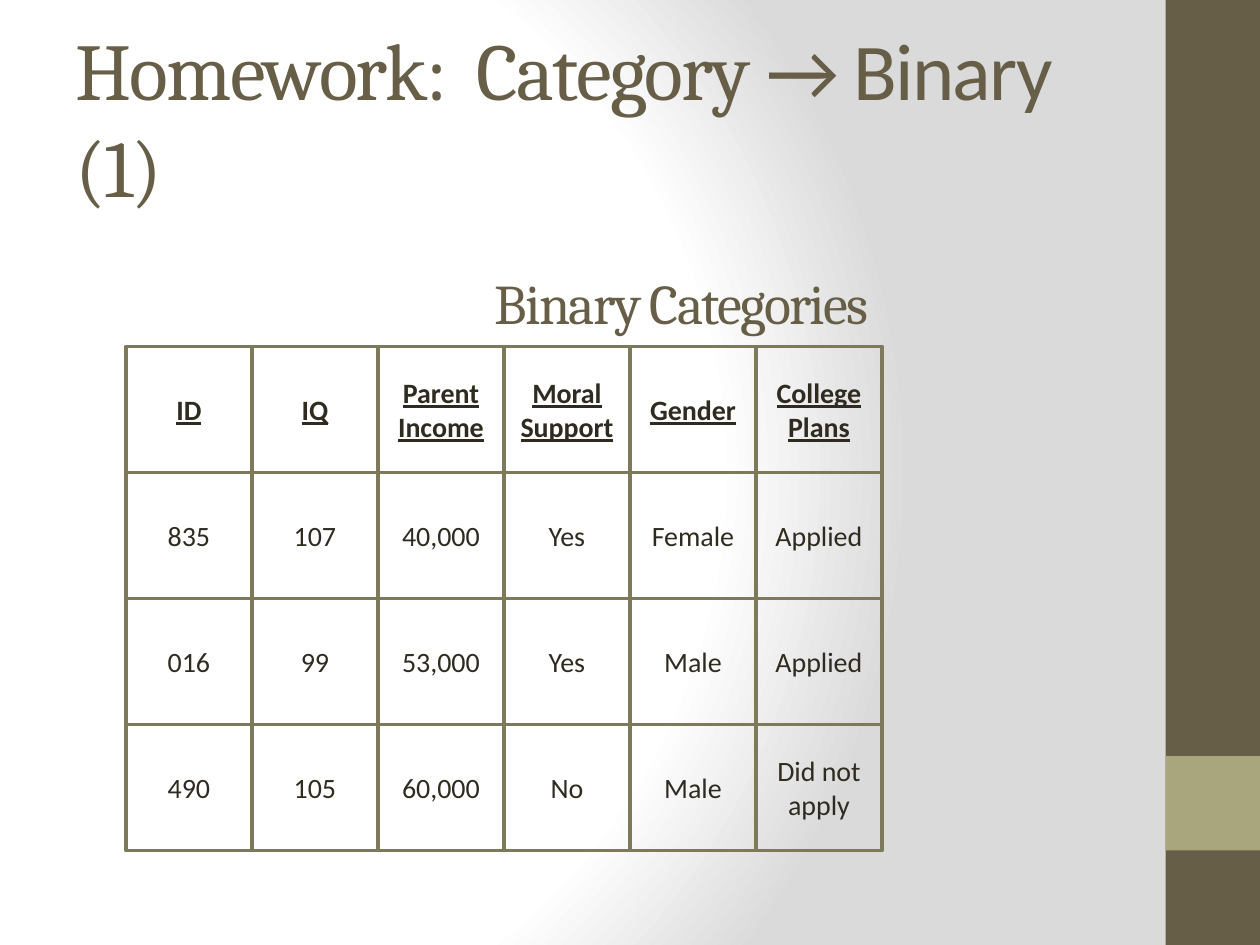
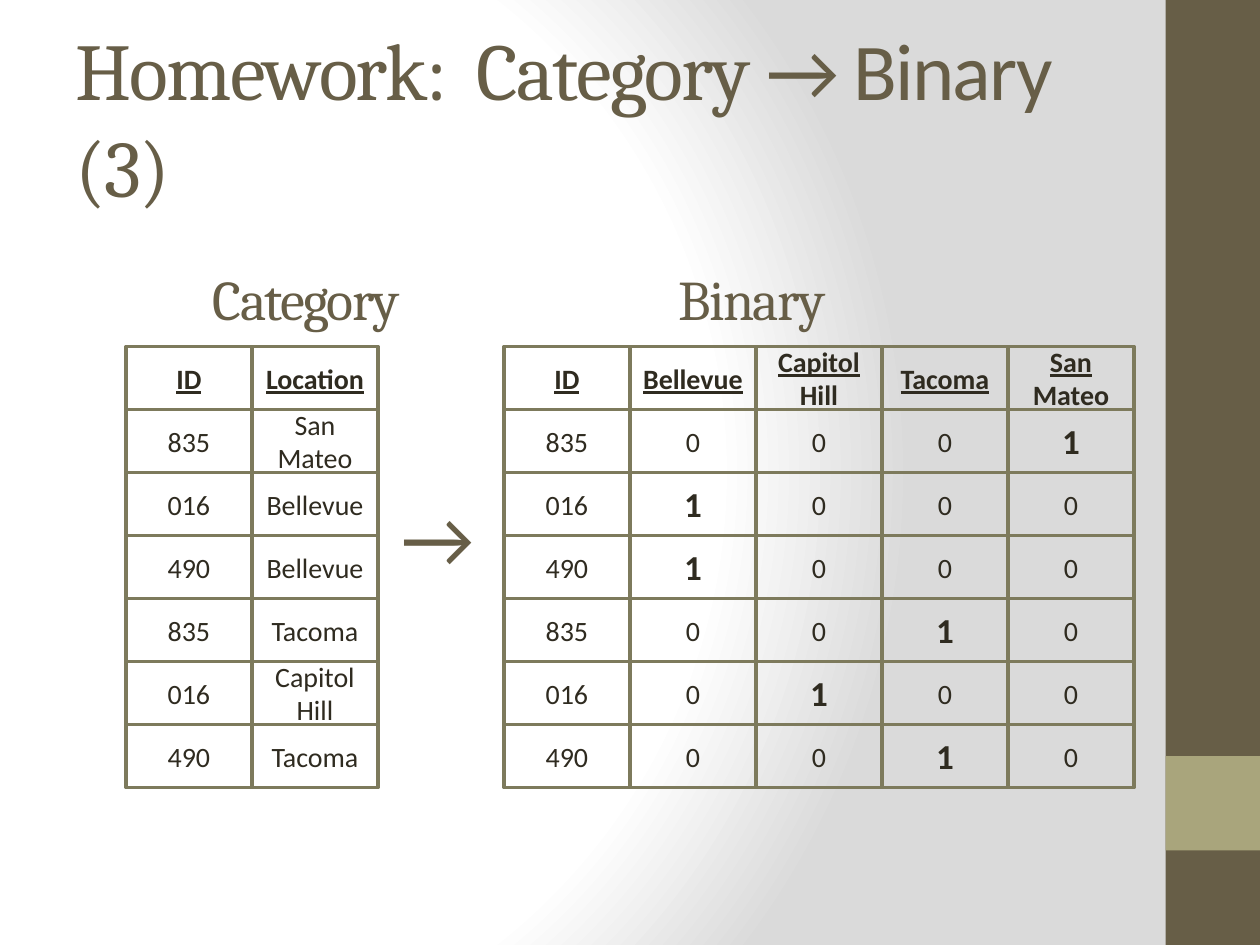
from pptx import Presentation
from pptx.dml.color import RGBColor
from pptx.enum.shapes import MSO_SHAPE
from pptx.enum.text import MSO_ANCHOR, PP_ALIGN
from pptx.oxml import parse_xml
from pptx.oxml.ns import nsdecls, qn
from pptx.util import Inches, Pt

# The slide is a grid of 10 columns and 30 rows.
COLUMN, ROW = Inches(1), Inches(0.25)
COLUMNS, ROWS = 10, 30

OLIVE = RGBColor(0x67, 0x5E, 0x47)
SAGE = RGBColor(0xA9, 0xA5, 0x7C)
BORDER = RGBColor(0x7D, 0x7A, 0x5C)
INK = RGBColor(0x2F, 0x2B, 0x20)
WHITE = RGBColor(0xFF, 0xFF, 0xFF)
GREY = RGBColor(0xDA, 0xDA, 0xDA)

HEADING_FONT, BODY_FONT = "Cambria", "Calibri"
TITLE_SIZE, SUBTITLE_SIZE, CELL_SIZE, HIT_SIZE = 46, 32, 16, 20
CELLS_TOP = 11
SUBTITLE_HEIGHT = 2.48

STUDENTS = [
    ["ID", "IQ", "Parent Income", "Moral Support", "Gender", "College Plans"],
    ["835", "107", "40,000", "Yes", "Female", "Applied"],
    ["016", "99", "53,000", "Yes", "Male", "Applied"],
    ["490", "105", "60,000", "No", "Male", "Did not\napply"],
]
PLACES = ["Bellevue", "Capitol Hill", "Tacoma", "San Mateo"]
LOCATIONS = [
    ("835", "San Mateo"),
    ("016", "Bellevue"),
    ("490", "Bellevue"),
    ("835", "Tacoma"),
    ("016", "Capitol Hill"),
    ("490", "Tacoma"),
]


def grid_box(left, top, width, height):
    """Turn columns and rows of the grid into slide lengths."""
    return (int(left * COLUMN), int(top * ROW),
            int(width * COLUMN), int(height * ROW))


def add_run(paragraph, text, *, size, font=BODY_FONT, color=INK,
            bold=False, underline=False, tight=False):
    run = paragraph.add_run()
    run.text = text
    run.font.size = Pt(size)
    run.font.name = font
    run.font.color.rgb = color
    run.font.bold = bold
    run.font.underline = underline
    if tight:
        run.font._element.set("spc", "-100")


def add_heading(slide, box, runs, size):
    """Add a text box from (text, font) pairs, centred vertically."""
    frame = slide.shapes.add_textbox(*grid_box(*box)).text_frame
    frame.word_wrap = True
    frame.vertical_anchor = MSO_ANCHOR.MIDDLE
    for text, font in runs:
        add_run(frame.paragraphs[0], text, size=size, font=font,
                color=OLIVE, tight=True)


def add_subtitle(slide, text, left, top, width):
    add_heading(slide, (left, top, width, SUBTITLE_HEIGHT),
                [(text, HEADING_FONT)], SUBTITLE_SIZE)


def add_rectangle(slide, box, fill=None, line=None):
    rectangle = slide.shapes.add_shape(MSO_SHAPE.RECTANGLE, *grid_box(*box))
    rectangle.shadow.inherit = False
    for target, color in ((rectangle.fill, fill), (rectangle.line.fill, line)):
        if color is None:
            target.background()
        else:
            target.solid()
            target.fore_color.rgb = color
    return rectangle


def set_background(master):
    """Give the master a round gradient, white on the left to grey."""
    master.background.fill.solid()
    solid = master.element.find(".//" + qn("p:bgPr")).find(qn("a:solidFill"))
    stops = "".join(
        f'<a:gs pos="{share * 1000}"><a:srgbClr val="{color}"/></a:gs>'
        for share, color in [(0, WHITE), (75, WHITE), (100, GREY)])
    solid.getparent().replace(solid, parse_xml(
        f'<a:gradFill {nsdecls("a")} rotWithShape="1"><a:gsLst>{stops}</a:gsLst>'
        '<a:path path="circle"><a:fillToRect l="20000" t="50000" '
        'r="100000" b="50000"/></a:path></a:gradFill>'))


def add_cell(slide, box, text, **text_format):
    cell = add_rectangle(slide, box, line=BORDER)
    cell.line.width = Pt(2)
    frame = cell.text_frame
    frame.margin_left = frame.margin_right = Inches(0.08)
    frame.word_wrap = True
    frame.vertical_anchor = MSO_ANCHOR.MIDDLE
    for index, line in enumerate(text.split("\n")):
        paragraph = frame.add_paragraph() if index else frame.paragraphs[0]
        paragraph.alignment = PP_ALIGN.CENTER
        add_run(paragraph, line, **text_format)


def add_cells(slide, values, left, row_height):
    """Add boxes one grid column wide, headers first; each "1" stands out."""
    for row, record in enumerate(values):
        for column, text in enumerate(record):
            header, hit = row == 0, text == "1"
            box = (left + column, CELLS_TOP + row * row_height, 1, row_height)
            add_cell(slide, box, text, size=HIT_SIZE if hit else CELL_SIZE,
                     bold=header or hit, underline=header)


def add_homework_slide(presentation, number):
    slide = presentation.slides.add_slide(presentation.slide_layouts[6])
    add_rectangle(slide, (9.25, 0, 0.75, ROWS), fill=OLIVE)
    add_rectangle(slide, (9.25, 24, 0.75, 3), fill=SAGE)
    add_heading(slide, (0.5, 1.2, 8.33, 5),
                [("Homework:  Category ", HEADING_FONT),
                 ("→ Binary", BODY_FONT),
                 (f" ({number})", HEADING_FONT)], TITLE_SIZE)
    return slide


def add_student_slide(presentation):
    slide = add_homework_slide(presentation, 1)
    add_cells(slide, STUDENTS, left=1, row_height=4)
    add_subtitle(slide, "Binary Categories", 3.83, 8.35, 3.47)


def add_location_slide(presentation):
    slide = add_homework_slide(presentation, 3)
    categories = [("ID", "Location"), *LOCATIONS]
    binary = [["ID", *PLACES]] + [
        [student, *(str(int(place == location)) for place in PLACES)]
        for student, location in LOCATIONS]
    for values, left in ((categories, 1), (binary, 4)):
        add_cells(slide, values, left, row_height=2)
    add_heading(slide, (3.09, 15.33, 0.83, 3.33),
                [("→", BODY_FONT)], TITLE_SIZE)
    for text, left in (("Category", 1.59), ("Binary", 5.29)):
        add_subtitle(slide, text, left, 8.23, 2)


def main():
    presentation = Presentation()
    presentation.slide_width = COLUMNS * COLUMN
    presentation.slide_height = ROWS * ROW
    set_background(presentation.slide_master)
    add_student_slide(presentation)
    add_location_slide(presentation)
    presentation.save("out.pptx")


if __name__ == "__main__":
    main()
